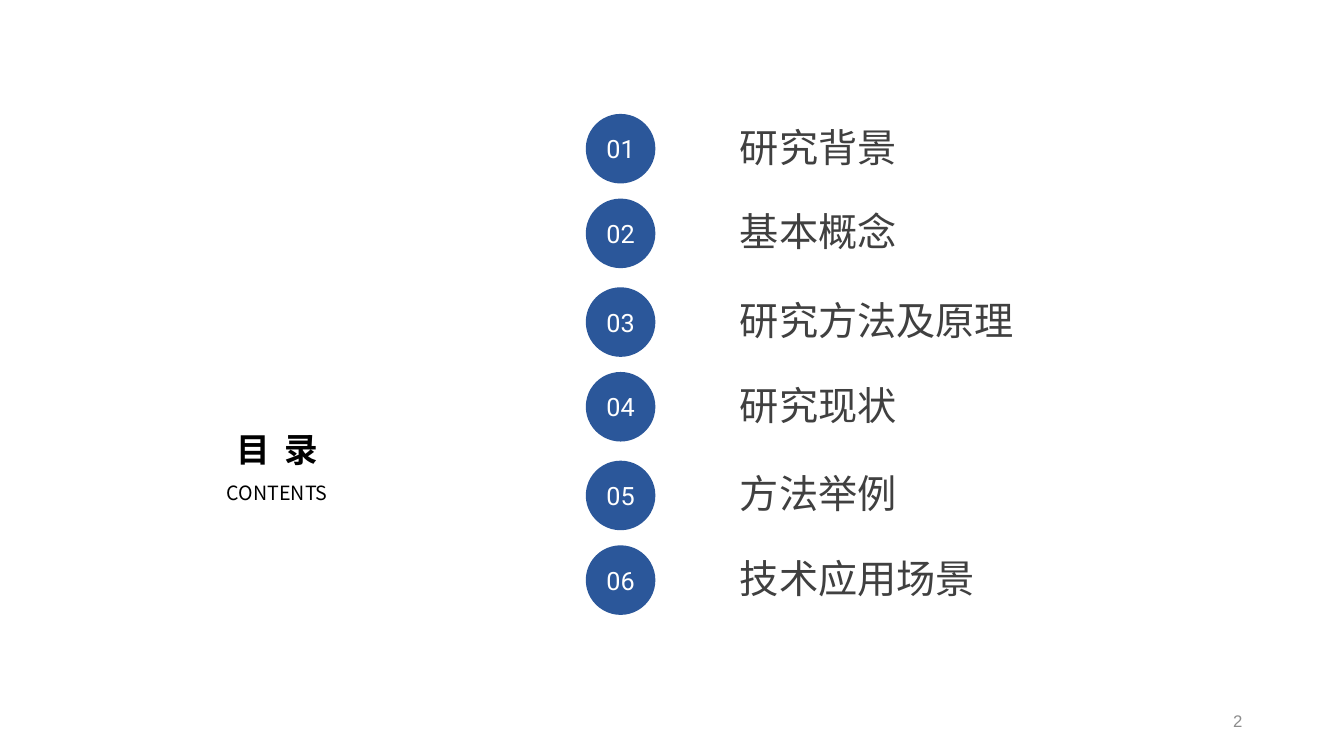
from lxml import etree
from pptx import Presentation
from pptx.dml.color import RGBColor
from pptx.enum.shapes import MSO_SHAPE
from pptx.enum.text import MSO_ANCHOR, MSO_AUTO_SIZE, PP_ALIGN
from pptx.oxml.ns import qn
from pptx.util import Inches, Pt

BLUE = RGBColor(0x2B, 0x57, 0x9A)
WHITE = RGBColor(0xFF, 0xFF, 0xFF)
BLACK = RGBColor(0, 0, 0)
DARK_GREY = RGBColor(0x40, 0x40, 0x40)
LIGHT_GREY = RGBColor(0x8C, 0x8C, 0x8C)
CJK_FONT = "Noto Sans CJK SC"

CHAPTERS = ["研究背景", "基本概念", "研究方法及原理", "研究现状", "方法举例", "技术应用场景"]
PAIR_PITCH, ROW_PITCH = 1.72, 0.84  # chapters are spaced in pairs
CIRCLE = 0.69
LABEL_X, LABEL_Y, LABEL_H = 1.43, 0.04, 0.57
CHAR_W, LABEL_PADDING = 0.39, 0.2


def style(p, size, color, font, align=PP_ALIGN.LEFT, bold=False):
    p.alignment = align
    for r in p.runs:
        r.font.size, r.font.bold, r.font.name = Pt(size), bold, font
        r.font.color.rgb = color
        east_asian = etree.SubElement(r._r.get_or_add_rPr(), qn("a:ea"))
        east_asian.set("typeface", CJK_FONT)


def fit_to_text(tf):
    tf.word_wrap = False
    tf.auto_size = MSO_AUTO_SIZE.SHAPE_TO_FIT_TEXT
    tf.vertical_anchor = MSO_ANCHOR.TOP


def place_title(slide, x, y, w, h):
    title = slide.shapes.title
    title.left, title.top, title.width, title.height = map(Inches, (x, y, w, h))
    tf = title.text_frame
    tf.text = "目 录\nCONTENTS"
    fit_to_text(tf)
    heading, subtitle = tf.paragraphs
    style(heading, 24, BLACK, CJK_FONT, PP_ALIGN.CENTER, bold=True)
    style(subtitle, 14, BLACK, CJK_FONT, PP_ALIGN.CENTER)
    heading.line_spacing = subtitle.line_spacing = 1.5
    heading.runs[0]._r.get_or_add_rPr().set("spc", "270")


def add_chapter(slide, number, name, x, y):
    sp = slide.shapes.add_shape(MSO_SHAPE.OVAL, *map(Inches, (x, y, CIRCLE, CIRCLE)))
    sp.shadow.inherit = False
    sp.fill.solid()
    sp.fill.fore_color.rgb = BLUE
    sp.line.fill.background()
    tf = sp.text_frame
    tf.text = f"{number:02d}"
    tf.vertical_anchor = MSO_ANCHOR.MIDDLE
    style(tf.paragraphs[0], 18, WHITE, "Roboto", PP_ALIGN.CENTER)

    width = len(name) * CHAR_W + LABEL_PADDING
    box = (x + LABEL_X, y + LABEL_Y, width, LABEL_H)
    tf = slide.shapes.add_textbox(*map(Inches, box)).text_frame
    tf.text = name
    fit_to_text(tf)
    style(tf.paragraphs[0], 28, DARK_GREY, "Arial")


def add_chapter_list(slide, x, y):
    for i, name in enumerate(CHAPTERS):
        pair, row = divmod(i, 2)
        add_chapter(slide, i + 1, name, x, y + pair * PAIR_PITCH + row * ROW_PITCH)


def add_page_number(slide, number, x, y, w, h):
    tf = slide.shapes.add_textbox(*map(Inches, (x, y, w, h))).text_frame
    tf.text = str(number)
    tf.word_wrap = True
    tf.vertical_anchor = MSO_ANCHOR.MIDDLE
    style(tf.paragraphs[0], 12, LIGHT_GREY, "Arial", PP_ALIGN.RIGHT)


def main():
    prs = Presentation()
    prs.slide_width, prs.slide_height = Inches(13.33), Inches(7.5)
    slide = prs.slides.add_slide(prs.slide_layouts[5])
    place_title(slide, 2.12, 4, 1.26, 1.06)
    add_chapter_list(slide, 5.81, 1.13)
    add_page_number(slide, 2, 9.42, 6.95, 3, 0.4)
    prs.save("out.pptx")


if __name__ == "__main__":
    main()
